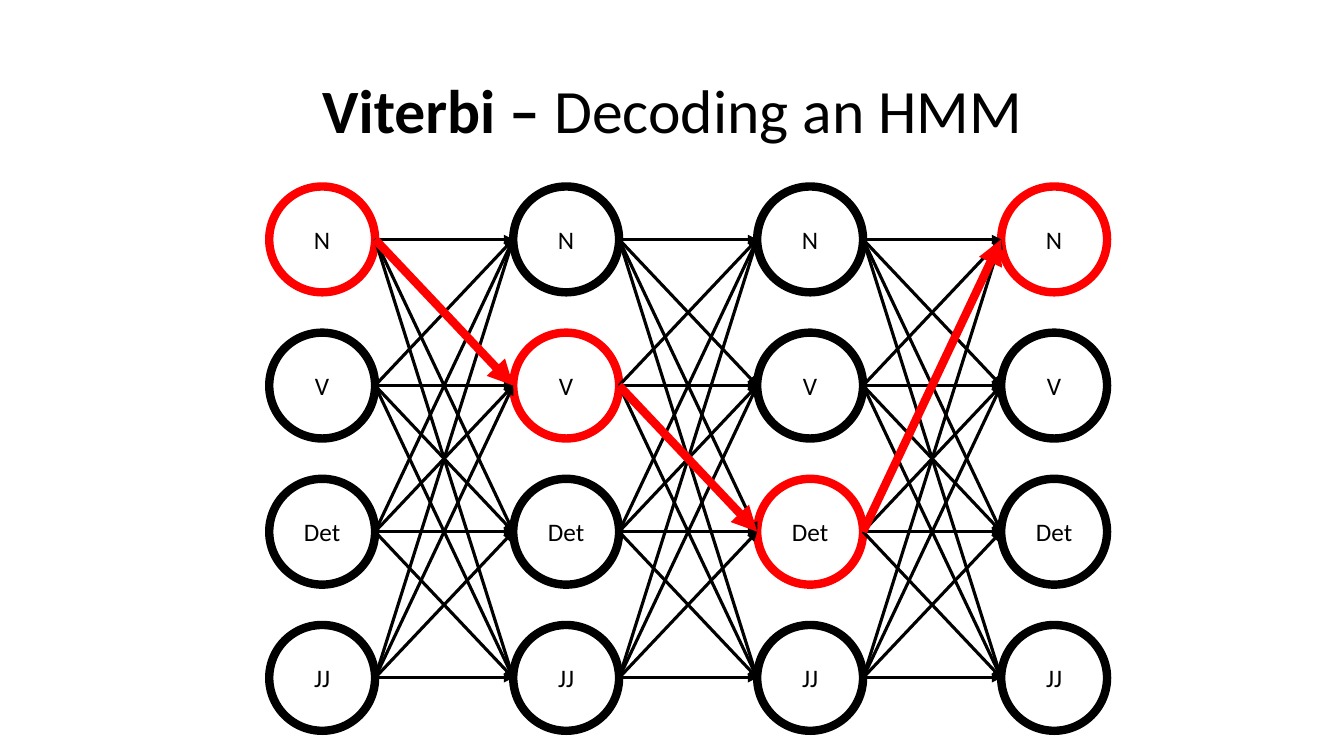
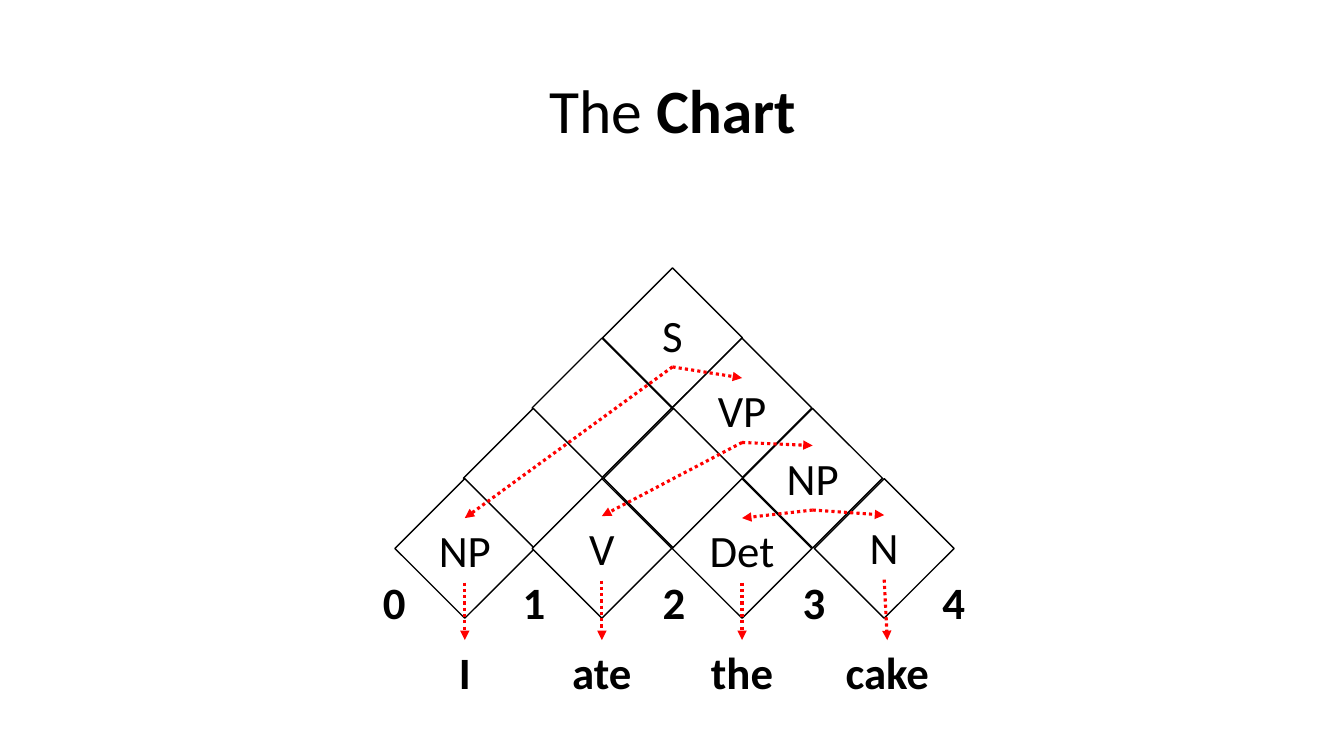
from itertools import product

from lxml import etree
from pptx import Presentation
from pptx.dml.color import RGBColor
from pptx.enum.dml import MSO_LINE
from pptx.enum.shapes import MSO_CONNECTOR, MSO_SHAPE
from pptx.enum.text import MSO_ANCHOR, MSO_AUTO_SIZE, PP_ALIGN
from pptx.oxml.ns import qn
from pptx.util import Emu, Pt

BLACK = RGBColor(0x00, 0x00, 0x00)
WHITE = RGBColor(0xFF, 0xFF, 0xFF)
RED = RGBColor(0xFF, 0x00, 0x00)
STRAIGHT = MSO_CONNECTOR.STRAIGHT
OVAL = MSO_SHAPE.OVAL
RECT = MSO_SHAPE.RECTANGLE
CENTER = PP_ALIGN.CENTER
MIDDLE = MSO_ANCHOR.MIDDLE
GROW = MSO_AUTO_SIZE.SHAPE_TO_FIT_TEXT
DOTTED = MSO_LINE.ROUND_DOT
TOP_SIDE, BOTTOM_SIDE = 0, 2

FONT = "Calibri"
EMU_PER_PX = 9144
TITLE_BOX = (92, 40, 1150, 145)
TITLE_FRAME = {"word_wrap": True, "vertical_anchor": MIDDLE}
NODE_FRAME = {"word_wrap": True, "vertical_anchor": MIDDLE}
LABEL_FRAME = {"word_wrap": True, "auto_size": GROW}
LABEL_HEIGHT = 64

TAGS = ("N", "V", "Det", "JJ")
BEST_PATH = (0, 1, 2, 0)
NODE = 105

CELL = 98
ROW_STEP = 69.7
ROWS = ((276,), (206, 345), (138, 277, 415), (70, 206, 345, 486))
CELL_LABELS = {
    (3, 0): ("NP", 75, 249),
    (3, 1): ("V", 75, 247),
    (3, 2): ("Det", 90, 249),
    (3, 3): ("N", 90, 246),
    (2, 2): ("NP", 75, 177),
    (1, 1): ("VP", 75, 110),
    (0, 0): ("S", 75, 35),
}
CHILDREN = {
    (0, 0): ((3, 0), (1, 1)),
    (1, 1): ((3, 1), (2, 2)),
    (2, 2): ((3, 2), (3, 3)),
}
WORDS = (("I", 75, 0), ("ate", 95, 0), ("the", 95, 0), ("cake", 105, 3))
WORD_TOP = 370
NUMBER_TOP = 300


def px(n):
    return Emu(round(n * EMU_PER_PX))


def apply(obj, fmt):
    for name, value in fmt.items():
        setattr(obj, name, value)


def write(sp, runs, size, frame, spacing=None):
    tf = sp.text_frame
    apply(tf, frame)
    p = tf.paragraphs[0]
    apply(p, {"alignment": CENTER, "line_spacing": spacing})
    for text, bold in runs:
        r = p.add_run()
        r.text = text
        apply(r.font, {"name": FONT, "size": Pt(size), "bold": bold})
        r.font.color.rgb = BLACK


def add_title(s, runs):
    sp = s.shapes.add_textbox(*map(px, TITLE_BOX))
    write(sp, runs, 44, TITLE_FRAME, 0.9)


def add_label(s, text, center, top, width, bold=False):
    box = (center - width / 2, top, width, LABEL_HEIGHT)
    sp = s.shapes.add_textbox(*map(px, box))
    write(sp, [(text, bold)], 32, LABEL_FRAME)
    return sp


def add_outline(s, kind, cx, cy, side, color, weight):
    box = (cx - side / 2, cy - side / 2, side, side)
    sp = s.shapes.add_shape(kind, *map(px, box))
    sp.shadow.inherit = False
    sp.fill.solid()
    sp.fill.fore_color.rgb = WHITE
    sp.line.color.rgb = color
    sp.line.width = Pt(weight)
    return sp


def add_arrow(s, start, end, color, weight):
    c = s.shapes.add_connector(STRAIGHT, *map(px, start + end))
    c.line.color.rgb = color
    c.line.width = Pt(weight)
    etree.SubElement(c.line._get_or_add_ln(), qn("a:tailEnd"), type="triangle")
    etree.SubElement(c._element.spPr, qn("a:effectLst"))
    return c


def add_link(s, upper, lower):
    c = add_arrow(s, (0, 0), (0, 0), RED, 2.25)
    c.line.dash_style = DOTTED
    c.begin_connect(upper, BOTTOM_SIDE)
    c.end_connect(lower, TOP_SIDE)


def add_trellis(s, x, y, w, h):
    radius = NODE / 2
    steps = len(BEST_PATH)
    xs = [x + radius + i * (w - NODE) / (steps - 1) for i in range(steps)]
    ys = [y + radius + i * (h - NODE) / (len(TAGS) - 1) for i in range(len(TAGS))]

    for col, row in product(range(steps), range(len(TAGS))):
        color = RED if BEST_PATH[col] == row else BLACK
        sp = add_outline(s, OVAL, xs[col], ys[row], NODE, color, 6)
        write(sp, [(TAGS[row], False)], 18, NODE_FRAME)

    def add_edge(col, row, next_row, color, weight):
        start = (xs[col] + radius, ys[row])
        end = (xs[col + 1] - radius, ys[next_row])
        add_arrow(s, start, end, color, weight)

    best = [(i, BEST_PATH[i], BEST_PATH[i + 1]) for i in range(steps - 1)]
    for edge in product(range(steps - 1), range(len(TAGS)), range(len(TAGS))):
        if edge not in best:
            add_edge(*edge, BLACK, 2.25)
    for edge in best:
        add_edge(*edge, RED, 6)


def add_parse_chart(s, x, y, w):
    for row, centers in enumerate(ROWS):
        for center in centers:
            cy = y + 70 + row * ROW_STEP
            sp = add_outline(s, RECT, x + center, cy, CELL, BLACK, 1)
            sp.rotation = 315

    for i in range(len(WORDS) + 1):
        add_label(s, str(i), x + i * w / len(WORDS), y + NUMBER_TOP, 75, True)

    labels = {}
    for (row, col), (text, width, top) in CELL_LABELS.items():
        labels[row, col] = add_label(s, text, x + ROWS[row][col], y + top, width)
    for parent, children in CHILDREN.items():
        for child in children:
            add_link(s, labels[parent], labels[child])

    for col, (text, width, shift) in enumerate(WORDS):
        center = x + ROWS[-1][col] + shift
        word = add_label(s, text, center, y + WORD_TOP, width, True)
        add_link(s, labels[3, col], word)


def viterbi_slide(prs):
    s = prs.slides.add_slide(prs.slide_layouts[6])
    add_title(s, [("Viterbi –", True), (" Decoding an HMM", False)])
    add_trellis(s, 267, 185, 831, 540)


def chart_slide(prs):
    s = prs.slides.add_slide(prs.slide_layouts[6])
    add_title(s, [("The ", False), ("Chart", True)])
    add_parse_chart(s, 391, 265, 555)


def main():
    prs = Presentation()
    apply(prs, {"slide_width": px(1333), "slide_height": px(750)})
    viterbi_slide(prs)
    chart_slide(prs)
    prs.save("out.pptx")


if __name__ == "__main__":
    main()
